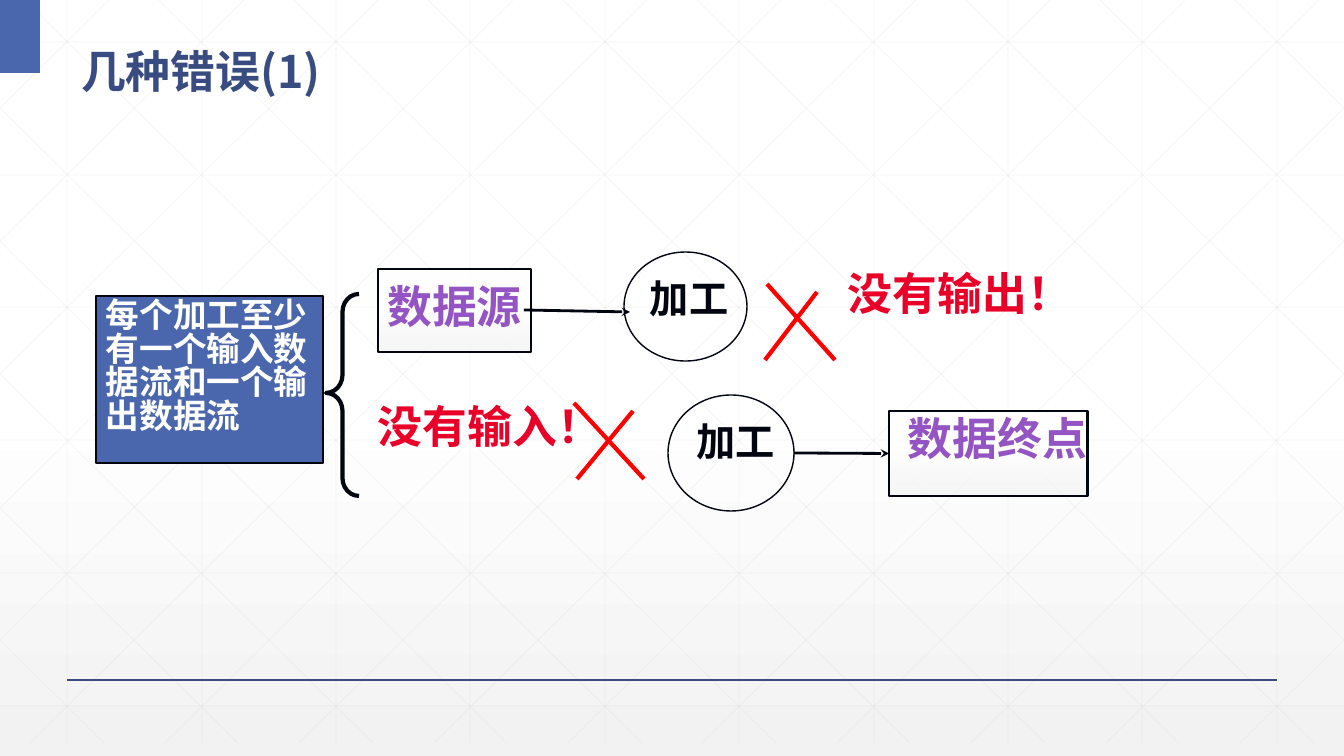
from copy import deepcopy
from lxml import etree
from pptx import Presentation, util as u
from pptx.dml.color import RGBColor
from pptx.enum import shapes as s, text as t
from pptx.oxml.ns import qn

PX = 914400 / 100.8
FONT = "Noto Sans CJK SC"
COLORS = {k: RGBColor.from_string(v) for k, v in {
    "ink": "01050F", "navy": "384C81", "blue": "4A66AC", "purple": "9454C3",
    "crimson": "E80029", "red": "FF0000", "grid": "D9D9D9",
    "white": "FFFFFF", "mist": "F2F2F2"}.items()}
WIDTH, HEIGHT, GRID_BOTTOM = 1344, 756, 743

prs = Presentation()
prs.slide_width, prs.slide_height = round(WIDTH * PX), round(HEIGHT * PX)
slide = prs.slides.add_slide(prs.slide_layouts[5])


def draw_line(ends, color, width, opacity=None, arrow=False):
    line = slide.shapes.add_connector(
        s.MSO_CONNECTOR.STRAIGHT, *[round(v * PX) for v in ends])
    line.line.color.rgb = COLORS[color]
    line.line.width = u.Pt(width)
    properties = line._element.spPr
    etree.SubElement(properties, qn("a:effectLst"))
    if opacity:
        rgb = properties.find(".//" + qn("a:srgbClr"))
        etree.SubElement(rgb, qn("a:alpha"), val=str(opacity * 1000))
    if arrow:
        etree.SubElement(properties.find(qn("a:ln")), qn("a:tailEnd"), type="stealth")
    return line


def write(shape, paragraphs, size, color, spacing=0.83, **frame_format):
    frame = shape.text_frame
    frame.text = "\n".join(paragraphs)
    frame_format = {"word_wrap": True, "auto_size": t.MSO_AUTO_SIZE.NONE,
                    "vertical_anchor": t.MSO_ANCHOR.TOP, **frame_format}
    for name, value in frame_format.items():
        setattr(frame, name, value)
    for paragraph in frame.paragraphs:
        paragraph.alignment = t.PP_ALIGN.LEFT
        paragraph.line_spacing = spacing
        for run in paragraph.runs:
            for name, value in {"size": u.Pt(size), "bold": True, "name": FONT}.items():
                setattr(run.font, name, value)
            run.font.color.rgb = COLORS[color]
            etree.SubElement(run.font._element, qn("a:ea"), typeface=FONT)


# Background grid: verticals, horizontals, mirrored diagonals
grid = [(x, 0, x, GRID_BOTTOM) for x in (round(67.2 + 134.4 * i) for i in range(10))]
grid += [(0, y, WIDTH, y) for y in (round(42 + 132.7 * i) for i in range(6))]
RUN = 751
for i in range(-5, 10):
    start = round(25 + 134.4 * i)
    left, right = max(start, 0), min(start + RUN, WIDTH)
    top, bottom = [round((x - start) * GRID_BOTTOM / RUN) for x in (left, right)]
    grid += [(left, top, right, bottom), (WIDTH - left, top, WIDTH - right, bottom)]
for ends in grid:
    draw_line(ends, "grid", 0.5, opacity=25)
draw_line((67, 680, 1277, 680), "navy", 1)

# Title
title = slide.shapes.title
title.left, title.top, title.width, title.height = [round(v * PX) for v in (71, 26, 574, 74)]
write(title, ["几种错误(1)"], 32, "navy", 1.3, vertical_anchor=t.MSO_ANCHOR.MIDDLE)
slide.shapes._spTree.append(title._element)

# Corner tab, data boxes, processes, brace and rule box
KIND = s.MSO_SHAPE
parts = {}
for part, kind, box, fill, outline in [
    ("corner", KIND.RECTANGLE, (0, 0, 40, 73), "blue", None),
    ("source", KIND.RECTANGLE, (378, 269, 153, 83), "shade", 2),
    ("sink", KIND.RECTANGLE, (889, 411, 199, 85), "shade", 2),
    ("no output", KIND.OVAL, (624, 252, 123, 109), None, 1),
    ("no input", KIND.OVAL, (668, 395, 126, 116), None, 1),
    ("brace", KIND.LEFT_BRACE, (326, 294, 33, 202), None, 3),
    ("rule", KIND.RECTANGLE, (96, 296, 227, 167), "blue", 1),
]:
    shape = slide.shapes.add_shape(kind, *[round(v * PX) for v in box])
    shape.shadow.inherit = False
    if fill == "shade":
        shape.fill.gradient()
    elif fill:
        shape.fill.solid()
        shape.fill.fore_color.rgb = COLORS[fill]
    else:
        shape.fill.background()
    if outline:
        shape.line.color.rgb = COLORS["ink"]
        shape.line.width = u.Pt(outline)
    else:
        shape.line.fill.background()
    parts[part] = shape
parts["brace"].adjustments[0] = 0.54
parts["brace"].adjustments[1] = 0.49

# White to mist shading, shared by the page and the data boxes
page = slide.background.fill
page.gradient()
for fill, owner in [(page, slide.element.cSld.bg),
                    (parts["source"].fill, parts["source"]._element),
                    (parts["sink"].fill, parts["sink"]._element)]:
    fill.gradient_angle = 270
    stops = owner.find(".//" + qn("a:gsLst"))
    stops.insert(1, deepcopy(stops[0]))
    for stop, position, color in zip(fill.gradient_stops, (0, 0.53, 1),
                                     ("white", "white", "mist")):
        stop.position = position
        stop.color.rgb = COLORS[color]
    etree.SubElement(stops[2][0], qn("a:alpha"), val="65000")

# Text inside shapes
write(parts["rule"], ["每个加工至少有一个输入数", "据流和一个输出数据流"], 24, "white")
write(parts["source"], ["数据源"], 32, "purple",
      word_wrap=False, vertical_anchor=t.MSO_ANCHOR.MIDDLE)
parts["source"].text_frame.paragraphs[0].alignment = t.PP_ALIGN.CENTER

# Free labels
for label, box, size, color in [
    ("数据终点", (898, 415, 209, 64), 32, "purple"),
    ("没有输出！", (838, 270, 249, 64), 32, "crimson"),
    ("没有输入！", (368, 403, 259, 64), 32, "crimson"),
    ("加工", (640, 277, 112, 57), 28, "ink"),
    ("加工", (687, 420, 100, 57), 28, "ink"),
]:
    write(slide.shapes.add_textbox(*[round(v * PX) for v in box]), [label], size, color)

# Data flows
draw_line((524, 310, 630, 312), "ink", 2, arrow=True)
to_sink = draw_line((794, 453, 889, 453), "ink", 2, arrow=True)
to_sink.end_connect(parts["sink"], 1)

# Crosses over the missing flows
for stroke in [(767, 284, 835, 360), (817, 292, 765, 360),
               (574, 403, 644, 479), (633, 411, 577, 479)]:
    draw_line(stroke, "red", 3)

prs.save("out.pptx")
